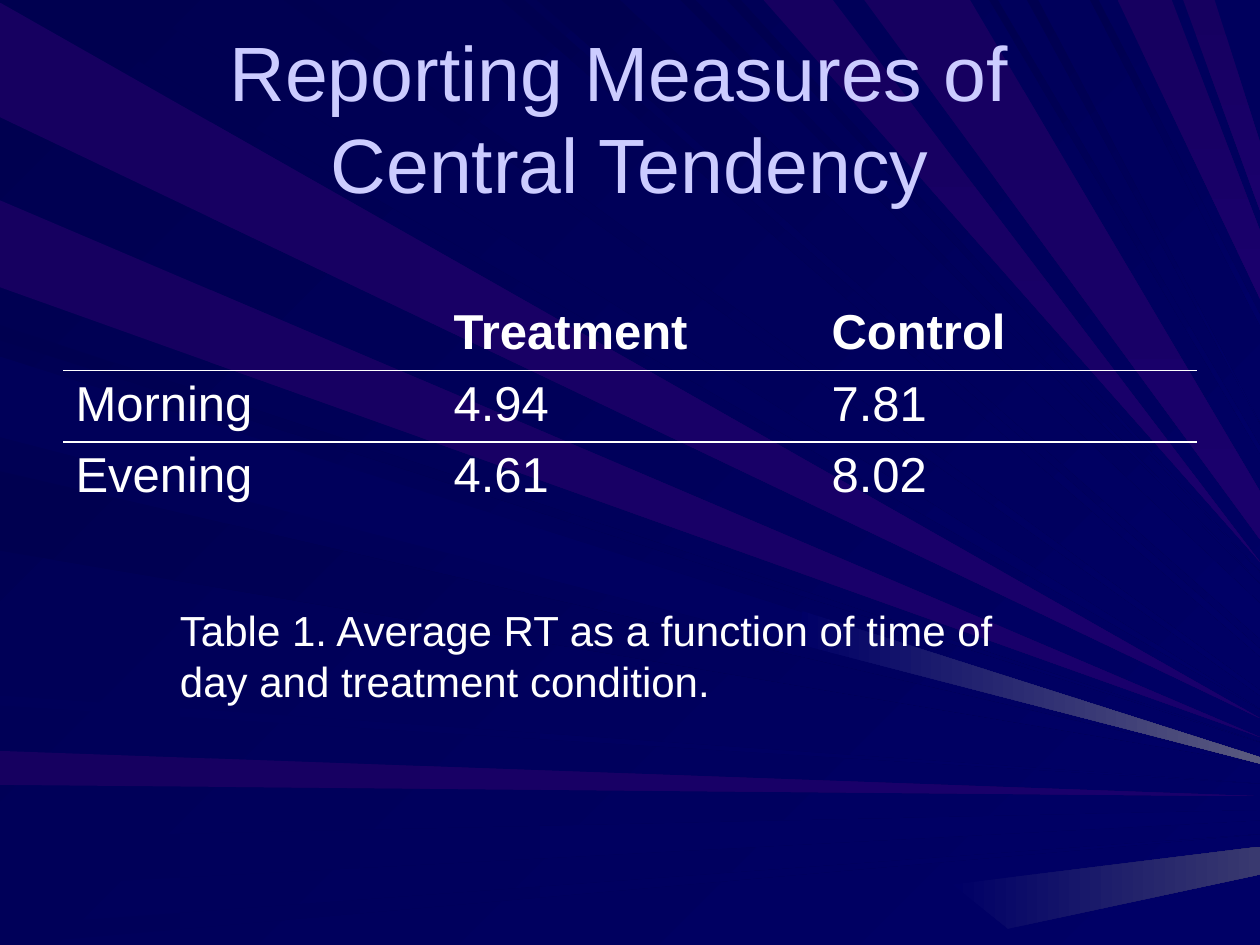
from dataclasses import dataclass

from lxml.etree import SubElement
from pptx import Presentation
from pptx.dml.color import RGBColor
from pptx.dml.fill import FillFormat
from pptx.enum.text import MSO_ANCHOR, PP_ALIGN
from pptx.oxml.ns import qn
from pptx.slide import Slide
from pptx.table import Table
from pptx.text.text import TextFrame
from pptx.util import Pt

PX = 9144
WIDTH, HEIGHT = 1000, 750
NIGHT, WHITE, LILAC = "000066", "FFFFFF", "CCCCFF"
NO_STYLE = "{2D5ABB26-0587-4C30-8999-92F81FD0307C}"


@dataclass(frozen=True)
class Tone:
    start: str
    end: str
    angle: int = 0


@dataclass(frozen=True)
class Ray:
    near: int
    far: int
    tip: int
    tone: Tone
    spread: int = 0


@dataclass(frozen=True)
class Box:
    left: int
    top: int
    width: int
    height: int

    def emu(self) -> tuple[int, ...]:
        return tuple(v * PX for v in (self.left, self.top, self.width, self.height))


SKY = Tone("000050", NIGHT, 45)
DIM = Tone("000059", NIGHT)
WINE = Tone("160060", "1A006C")
WINE_DOWN = Tone("160060", "1A006C", 90)
GLOW = Tone(NIGHT, "5A5A7F")
HAZE = Tone(NIGHT, "39396F")

LEFT_RAYS = (
    Ray(2, 93, 570, WINE),
    Ray(596, 623, 632, WINE),
    Ray(665, 704, 647, DIM, 4),
    Ray(735, 750, 662, DIM),
    Ray(258, 270, 589, SKY),
    Ray(159, 228, 585, WINE),
    Ray(374, 437, 606, SKY),
    Ray(552, 560, 622, DIM),
    Ray(283, 347, 604, DIM, 2),
)
TOP_RAYS = (
    Ray(26, 101, 563, SKY),
    Ray(398, 416, 518, SKY, 3),
    Ray(426, 492, 493, SKY, 14),
    Ray(540, 552, 463, SKY),
    Ray(606, 661, 446, WINE_DOWN),
    Ray(887, 930, 210, WINE_DOWN, 27),
    Ray(939, 964, 140, WINE_DOWN, 27),
    Ray(225, 247, 550, SKY, 2),
    Ray(577, 588, 454, SKY),
    Ray(686, 770, 409, WINE_DOWN, 19),
    Ray(785, 792, 357, SKY, 3),
    Ray(815, 824, 336, SKY),
    Ray(865, 872, 254, SKY, 4),
)
ROWS = (
    ("", "Treatment", "Control"),
    ("Morning", "4.94", "7.81"),
    ("Evening", "4.61", "8.02"),
)


def rgb(value: str) -> RGBColor:
    return RGBColor.from_string(value)


def paint(fill: FillFormat, tone: Tone) -> None:
    fill.gradient()
    fill.gradient_angle = -tone.angle % 360
    for stop, color in zip(fill.gradient_stops, (tone.start, tone.end)):
        stop.color.rgb = rgb(color)


def draw_beam(slide: Slide, points: tuple[tuple[int, int], ...], tone: Tone) -> None:
    builder = slide.shapes.build_freeform(*points[0], scale=PX)
    builder.add_line_segments(points[1:], close=True)
    sp = builder.convert_to_shape()
    sp.shadow.inherit = False
    sp.line.fill.background()
    paint(sp.fill, tone)


def draw_ray(slide: Slide, ray: Ray, from_top: bool) -> None:
    upper, lower = (WIDTH, ray.tip - ray.spread), (WIDTH, ray.tip + ray.spread)
    if from_top:
        points = ((ray.near, 0), (ray.far, 0), upper, lower)
    else:
        points = ((0, ray.near), (0, ray.far), lower, upper)
    draw_beam(slide, points, ray.tone)


def write_text(tf: TextFrame, text: str, *, size: int, color: str = WHITE,
               bold: bool = False, align: PP_ALIGN = PP_ALIGN.LEFT) -> None:
    tf.word_wrap = True
    p = tf.paragraphs[0]
    p.text = text
    p.alignment = align
    p.font.size = Pt(size)
    for r in p.runs:
        r.font.name = "Arial"
        r.font.size = Pt(size)
        r.font.bold = bold
        r.font.color.rgb = rgb(color)


def add_text(slide: Slide, box: Box, text: str, *, anchor: MSO_ANCHOR = MSO_ANCHOR.TOP,
             **text_format) -> None:
    tf = slide.shapes.add_textbox(*box.emu()).text_frame
    tf.vertical_anchor = anchor
    write_text(tf, text, **text_format)


def rule_between(table: Table, upper: int, color: str, width: int) -> None:
    for row, side in ((upper, "a:lnB"), (upper + 1, "a:lnT")):
        for cell in table.rows[row].cells:
            tcPr = cell._tc.get_or_add_tcPr()
            ln = SubElement(tcPr, qn(side), w=str(int(Pt(width))))
            SubElement(SubElement(ln, qn("a:solidFill")), qn("a:srgbClr"), val=color)
            tcPr.insert(0, ln)


def add_means_table(slide: Slide, box: Box) -> None:
    table = slide.shapes.add_table(len(ROWS), len(ROWS[0]), *box.emu()).table
    table._tbl.tblPr.find(qn("a:tableStyleId")).text = NO_STYLE
    table.first_row = table.horz_banding = False
    for i, row in enumerate(ROWS):
        for j, text in enumerate(row):
            cell = table.cell(i, j)
            cell.fill.background()
            write_text(cell.text_frame, text, size=28, bold=i == 0)
    rule_between(table, 0, WHITE, 1)


def main() -> None:
    prs = Presentation()
    prs.slide_width, prs.slide_height = WIDTH * PX, HEIGHT * PX
    slide = prs.slides.add_slide(prs.slide_layouts[6])
    paint(slide.background.fill, SKY)
    for ray in LEFT_RAYS:
        draw_ray(slide, ray, from_top=False)
    for ray in TOP_RAYS:
        draw_ray(slide, ray, from_top=True)
    draw_beam(slide, ((637, 485), (633, 511), (WIDTH, 606), (WIDTH, 601)), GLOW)
    draw_beam(slide, ((756, 702), (800, 737), (WIDTH, 694), (WIDTH, 672)), HAZE)
    add_text(slide, Box(50, 30, 900, 125), "Reporting Measures of \vCentral Tendency",
             size=44, color=LILAC, align=PP_ALIGN.CENTER, anchor=MSO_ANCHOR.MIDDLE)
    add_means_table(slide, Box(50, 237, 900, 171))
    add_text(slide, Box(133, 475, 692, 91),
             "Table 1. Average RT as a function of time of day and treatment condition.", size=24)
    prs.save("out.pptx")


if __name__ == "__main__":
    main()
